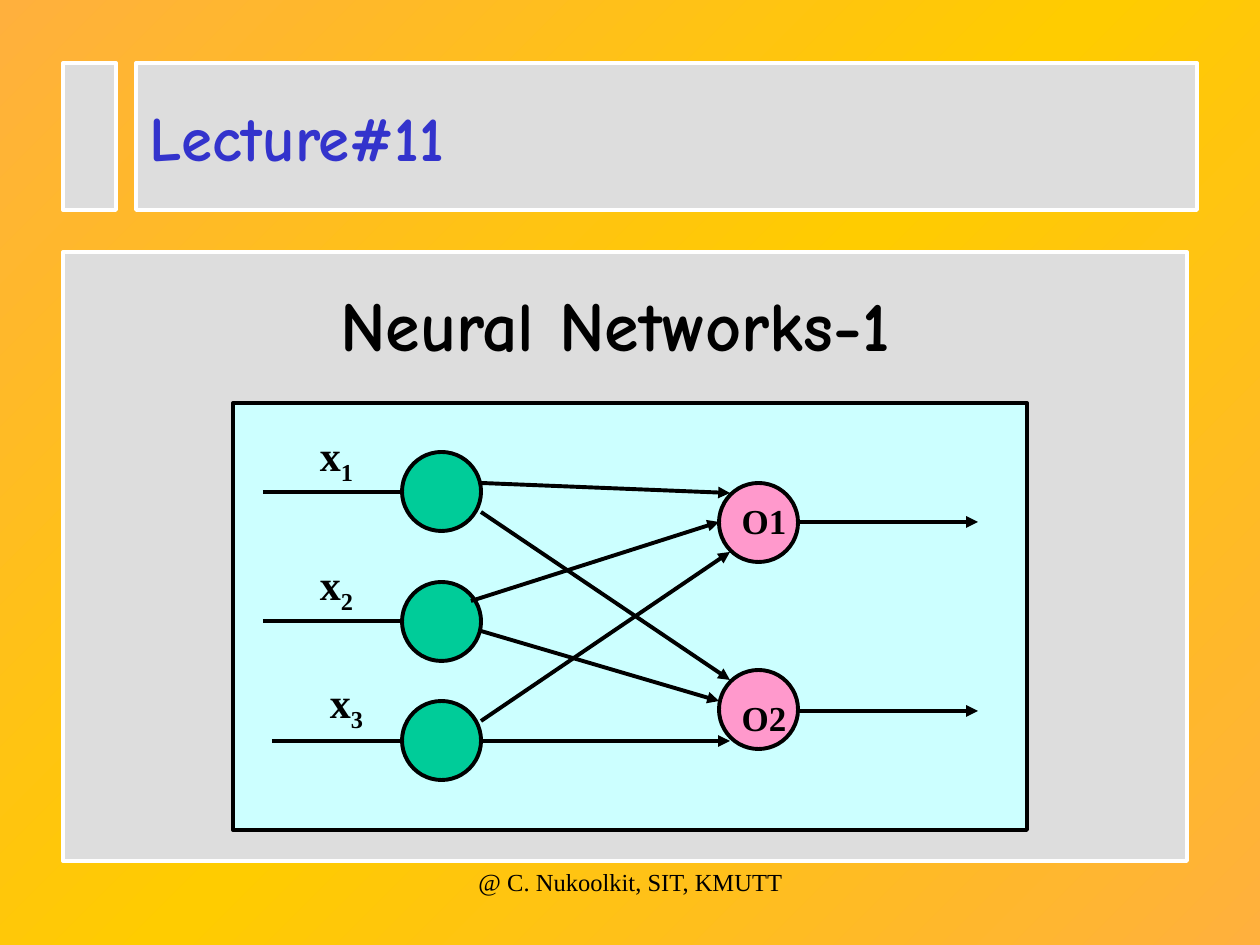
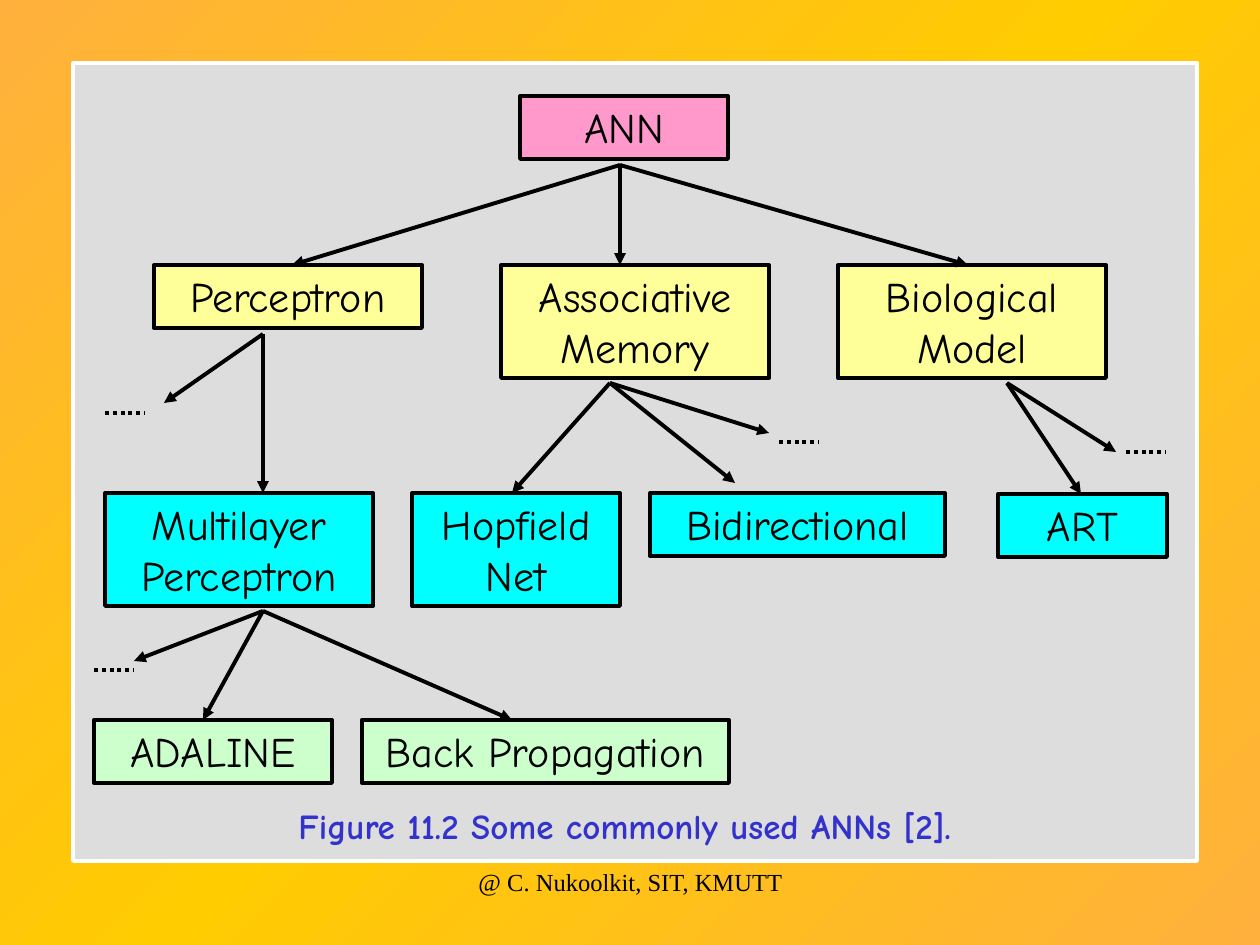
from copy import deepcopy

from pptx import Presentation
from pptx.dml.color import RGBColor
from pptx.enum.dml import MSO_LINE
from pptx.enum.shapes import MSO_CONNECTOR, MSO_SHAPE
from pptx.enum.text import MSO_ANCHOR, MSO_AUTO_SIZE, PP_ALIGN
from pptx.oxml.ns import qn
from pptx.oxml.xmlchemy import OxmlElement
from pptx.util import Pt

RECT, OVAL = MSO_SHAPE.RECTANGLE, MSO_SHAPE.OVAL
STRAIGHT = MSO_CONNECTOR.STRAIGHT
TOP, MIDDLE, BOTTOM = MSO_ANCHOR.TOP, MSO_ANCHOR.MIDDLE, MSO_ANCHOR.BOTTOM
LEFT, CENTER = PP_ALIGN.LEFT, PP_ALIGN.CENTER
NO_FIT = MSO_AUTO_SIZE.NONE
DOTTED = MSO_LINE.ROUND_DOT

ORANGE = RGBColor(0xFF, 0xB0, 0x3D)
GOLD = RGBColor(0xFF, 0xCC, 0x00)
GREY = RGBColor(0xDD, 0xDD, 0xDD)
WHITE = RGBColor(0xFF, 0xFF, 0xFF)
BLACK = RGBColor(0x00, 0x00, 0x00)
BLUE = RGBColor(0x33, 0x33, 0xCC)
PALE_CYAN = RGBColor(0xCC, 0xFF, 0xFF)
GREEN = RGBColor(0x00, 0xCC, 0x99)
PINK = RGBColor(0xFF, 0x99, 0xCC)
YELLOW = RGBColor(0xFF, 0xFF, 0x99)
CYAN = RGBColor(0x00, 0xFF, 0xFF)
PALE_GREEN = RGBColor(0xCC, 0xFF, 0xCC)

COMIC, TIMES = "Comic Neue", "Times New Roman"
EMU_PER_PX = 914400 / 126
LINE_WIDTH = Pt(2.25)
NEURON = 79
ROW = 63
TALL_ROW = 113


def px(n):
    return round(n * EMU_PER_PX)


def write(sp, text, size=24, font=COMIC, color=BLACK, bold=False, sub="",
          align=CENTER, anchor=TOP, insets=(13, 6, 13, 6)):
    tf = sp.text_frame
    tf.word_wrap = True
    tf.auto_size = NO_FIT
    tf.vertical_anchor = anchor
    tf.margin_left, tf.margin_top, tf.margin_right, tf.margin_bottom = map(px, insets)
    p = tf.paragraphs[0]
    p.alignment = align
    p.space_before = Pt(0)
    for part in filter(None, (text, sub)):
        r = p.add_run()
        r.text = part
        r.font.size = Pt(size)
        r.font.name = font
        r.font.bold = bold
        r.font.color.rgb = color
    if sub:
        r._r.get_or_add_rPr().set("baseline", "-25000")


def paint(sp, fill, line):
    sp.fill.solid()
    sp.fill.fore_color.rgb = fill
    sp.line.color.rgb = line
    sp.line.width = LINE_WIDTH


def add_box(s, x, y, w, h, fill, line=BLACK, kind=RECT):
    sp = s.shapes.add_shape(kind, px(x), px(y), px(w), px(h))
    sp.shadow.inherit = False
    paint(sp, fill, line)
    return sp


def add_label(s, x, y, w, h, text, **fmt):
    write(s.shapes.add_textbox(px(x), px(y), px(w), px(h)), text, **fmt)


def add_line(s, x1, y1, x2, y2, arrow=False, dash=None):
    c = s.shapes.add_connector(STRAIGHT, px(x1), px(y1), px(x2), px(y2))
    c.line.color.rgb = BLACK
    c.line.width = LINE_WIDTH
    if dash is not None:
        c.line.dash_style = dash
    if arrow:
        tail = OxmlElement("a:tailEnd")
        tail.set("type", "triangle")
        c.line._get_or_add_ln().append(tail)
    c._element.spPr.append(OxmlElement("a:effectLst"))


def place_panel(sp, x, y, w, h, text, **fmt):
    sp.left, sp.top, sp.width, sp.height = map(px, (x, y, w, h))
    paint(sp, GREY, WHITE)
    write(sp, text, bold=True, **fmt)


def set_background(prs):
    master = prs.slide_master
    fill = master.background.fill
    fill.gradient()
    fill.gradient_angle = 135
    stops = master.element.find(".//" + qn("a:gsLst"))
    stops.insert(1, deepcopy(stops[0]))
    for stop, position, color in zip(fill.gradient_stops, (0, 0.5, 1), (ORANGE, GOLD, ORANGE)):
        stop.position = position
        stop.color.rgb = color


def add_footer(s):
    add_label(s, 431, 861, 399, 63, "@ C. Nukoolkit, SIT, KMUTT", size=14, font=TIMES)


def draw_network(s, x, y, w, h):
    add_box(s, x, y, w, h, PALE_CYAN)
    for column, rows, fill in ((169, (49, 179, 298), GREEN), (486, (80, 267), PINK)):
        for row in rows:
            add_box(s, x + column, y + row, NEURON, NEURON, fill, kind=OVAL)

    for start, row in ((30, 89), (30, 218), (39, 338)):
        add_line(s, x + start, y + row, x + 169, y + row)

    links = (
        (248, 80, 497, 90), (248, 109, 497, 277),
        (238, 198, 486, 119), (248, 228, 486, 298),
        (248, 318, 497, 149), (248, 338, 497, 338),
        (566, 119, 745, 119), (566, 308, 745, 308),
    )
    for x1, y1, x2, y2 in links:
        add_line(s, x + x1, y + y1, x + x2, y + y2, arrow=True)

    for i, (left, top) in enumerate(((69, 20), (69, 149), (79, 267)), 1):
        add_label(s, x + left, y + top, 69, 71, "x", sub=str(i), font=TIMES, bold=True)
    for i, top in enumerate((90, 287), 1):
        add_label(s, x + 476, y + top, 110, 55, f"O{i}", size=20, font=TIMES, bold=True)


def draw_tree(s, x, y):
    nodes = (
        ("ANN", 447, 33, 208, ROW, PINK),
        ("Perceptron", 81, 202, 268, ROW, YELLOW),
        ("Associative Memory", 428, 202, 268, TALL_ROW, YELLOW),
        ("Biological Model", 765, 202, 268, TALL_ROW, YELLOW),
        ("Multilayer Perceptron", 32, 430, 268, TALL_ROW, CYAN),
        ("Hopfield Net", 339, 430, 208, TALL_ROW, CYAN),
        ("Bidirectional", 577, 430, 295, ROW, CYAN),
        ("ART", 925, 431, 169, ROW, CYAN),
        ("ADALINE", 21, 657, 238, ROW, PALE_GREEN),
        ("Back Propagation", 289, 657, 367, ROW, PALE_GREEN),
    )
    for text, left, top, w, h, fill in nodes:
        write(add_box(s, x + left, y + top, w, h, fill), text)

    branches = {
        (547, 102): ((547, 202), (895, 202), (219, 202)),
        (190, 271): ((190, 430), (91, 340)),
        (537, 320): ((439, 430), (662, 420), (696, 370)),
        (934, 320): ((1008, 431), (1043, 389)),
        (190, 548): ((130, 657), (439, 657), (61, 598)),
    }
    for (x1, y1), ends in branches.items():
        for x2, y2 in ends:
            add_line(s, x + x1, y + y1, x + x2, y + y2, arrow=True)

    for left, top in ((32, 350), (706, 379), (1053, 389), (21, 607)):
        add_line(s, x + left, y + top, x + left + 40, y + top, dash=DOTTED)


def build_cover(prs):
    s = prs.slides.add_slide(prs.slide_layouts[0])
    place_panel(s.shapes.title, 136, 63, 1061, 147, "Lecture#11",
                size=36, color=BLUE, align=LEFT, anchor=MIDDLE)
    place_panel(s.placeholders[1], 63, 252, 1124, 609, "Neural Networks-1",
                size=40, insets=(13, 29, 33, 6))
    add_box(s, 63, 63, 53, 147, GREY, WHITE)
    draw_network(s, 233, 403, 794, 427)
    add_footer(s)


def build_taxonomy(prs):
    s = prs.slides.add_slide(prs.slide_layouts[5])
    place_panel(s.shapes.title, 73, 63, 1124, 798, "Figure 11.2 Some commonly used ANNs [2].",
                size=20, color=BLUE, anchor=BOTTOM, insets=(13, 6, 33, 14))
    draw_tree(s, 73, 63)
    add_footer(s)


def main():
    prs = Presentation()
    prs.slide_width, prs.slide_height = px(1260), px(945)
    set_background(prs)
    build_cover(prs)
    build_taxonomy(prs)
    prs.save("out.pptx")


if __name__ == "__main__":
    main()
